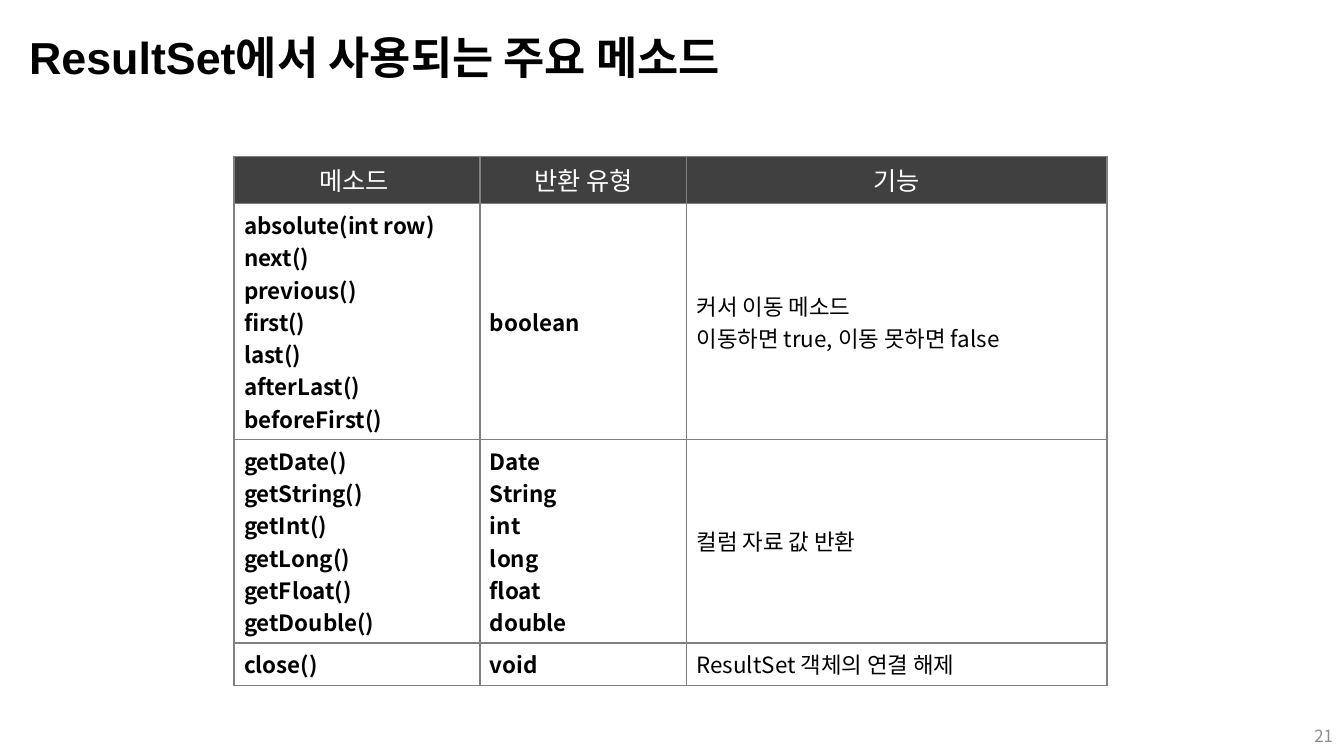
from pptx import Presentation
from pptx.dml.color import RGBColor
from pptx.enum.text import MSO_ANCHOR, PP_ALIGN
from pptx.oxml.ns import qn
from pptx.util import Inches, Pt
from lxml.etree import SubElement

KOREAN_FONT = "Noto Sans CJK KR"
COLUMN_WIDTHS = [2.44, 2.05, 4.17]
ROW_HEIGHTS = [0.47, 2.34, 2.02, 0.42]
METHOD_ROWS = [
    [["메소드 "], ["반환 유형"], ["기능"]],
    [
        ["absolute(int row)", "next()", "previous()", "first()", "last()",
         "afterLast()", "beforeFirst()"],
        ["boolean"],
        ["커서 이동 메소드", "이동하면 true, 이동 못하면 false"],
    ],
    [
        ["getDate()", "getString()", "getInt()", "getLong()", "getFloat()", "getDouble()"],
        ["Date", "String", "int", "long", "float", "double"],
        ["컬럼 자료 값 반환"],
    ],
    [["close()"], ["void"], ["ResultSet 객체의 연결 해제"]],
]
HEADER = {"size": Pt(18), "bold": False}
CODE = {"size": Pt(16), "bold": True}
DESCRIPTION = {"size": Pt(16), "bold": False}


def rgb(color):
    return RGBColor.from_string(color)


def write_lines(tf, lines, font, color, align=PP_ALIGN.LEFT, spacing=None):
    for i, line in enumerate(lines):
        p = tf.paragraphs[0] if i == 0 else tf.add_paragraph()
        p.alignment = align
        p.line_spacing = spacing
        r = p.add_run()
        r.text = line
        for name, value in {"name": KOREAN_FONT, **font}.items():
            setattr(r.font, name, value)
        r.font.color.rgb = rgb(color)
        SubElement(r.font._element, qn("a:ea"), typeface=KOREAN_FONT)


def add_text(s, box, text, font, color, **layout):
    tf = s.shapes.add_textbox(*map(Inches, box)).text_frame
    tf.word_wrap = True
    tf.vertical_anchor = MSO_ANCHOR.MIDDLE
    write_lines(tf, [text], font, color, **layout)


def set_borders(cell, color, width):
    tcPr = cell._tc.get_or_add_tcPr()
    for i, side in enumerate(("lnL", "lnR", "lnT", "lnB")):
        ln = tcPr.makeelement(qn(f"a:{side}"), {"w": str(Pt(width))})
        fill = SubElement(ln, qn("a:solidFill"))
        SubElement(fill, qn("a:srgbClr"), val=color)
        tcPr.insert(i, ln)


def fill_cell(cell, lines, is_header, is_code):
    if is_header:
        cell.fill.solid()
        cell.fill.fore_color.rgb = rgb("404040")
        write_lines(cell.text_frame, lines, HEADER, "FFFFFF", PP_ALIGN.CENTER)
    else:
        cell.fill.background()
        cell.vertical_anchor = MSO_ANCHOR.MIDDLE
        write_lines(cell.text_frame, lines, CODE if is_code else DESCRIPTION, "000000")
    set_borders(cell, "808080", 1)


def add_method_table(s, left, top):
    table = s.shapes.add_table(
        len(ROW_HEIGHTS), len(COLUMN_WIDTHS), Inches(left), Inches(top),
        Inches(sum(COLUMN_WIDTHS)), Inches(sum(ROW_HEIGHTS))).table
    table.horz_banding = False
    for column, width in zip(table.columns, COLUMN_WIDTHS):
        column.width = Inches(width)
    for row, height in zip(table.rows, ROW_HEIGHTS):
        row.height = Inches(height)
    for i, row in enumerate(METHOD_ROWS):
        for j, lines in enumerate(row):
            fill_cell(table.cell(i, j), lines, is_header=i == 0, is_code=j < 2)


def main():
    prs = Presentation()
    prs.slide_width, prs.slide_height = Inches(13.33), Inches(7.5)
    s = prs.slides.add_slide(prs.slide_layouts[6])
    add_text(s, (0.19, 0.19, 12.93, 0.81), "ResultSet에서 사용되는 주요 메소드",
             {"name": "Arial", "size": Pt(32), "bold": True}, "000000", spacing=0.9)
    add_text(s, (12.82, 7.1, 0.5, 0.4), "21", {"size": Pt(12)}, "8C8C8C",
             align=PP_ALIGN.RIGHT)
    add_method_table(s, 2.32, 1.55)
    prs.save("out.pptx")


if __name__ == "__main__":
    main()
